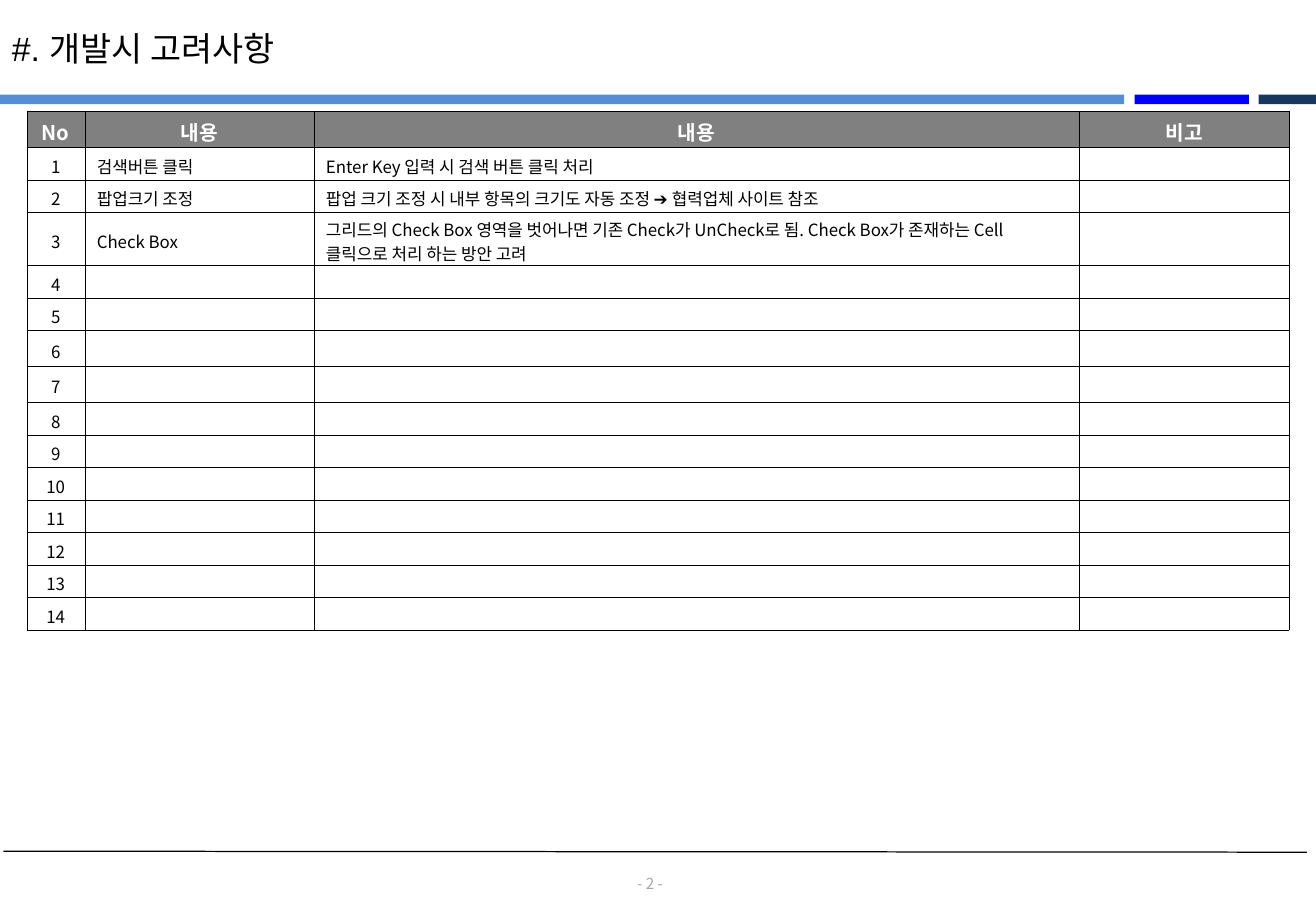
from lxml import etree
from pptx import Presentation
from pptx.dml.color import RGBColor
from pptx.enum.shapes import MSO_CONNECTOR, MSO_SHAPE
from pptx.enum.text import MSO_ANCHOR, PP_ALIGN
from pptx.oxml import parse_xml
from pptx.oxml.ns import nsdecls, qn
from pptx.util import Cm, Pt

RECT = MSO_SHAPE.RECTANGLE
LINE = MSO_CONNECTOR.STRAIGHT
MIDDLE = MSO_ANCHOR.MIDDLE
LEFT, CENTER = PP_ALIGN.LEFT, PP_ALIGN.CENTER
NOTO = "Noto Sans CJK KR"


def color(text):
    return RGBColor.from_string(text)


def style(para, face, size, tint, align=LEFT, bold=False):
    """Set the font of a paragraph, and the height of its line if empty."""
    para.alignment = align
    font = para.font
    font.name, font.size, font.bold = face, Pt(size), bold
    font.color.rgb = color(tint)
    if not para.text:
        para._p.get_or_add_endParaRPr().set("sz", str(size * 100))


deck = Presentation()
deck.slide_width, deck.slide_height = Cm(27.51), Cm(19.05)
slide = deck.slides.add_slide(deck.slide_layouts[6])
shapes = slide.shapes

# Header bars and footer line
bars = [(0, 23.5, "558ED5"), (23.72, 2.39, "0000FF"), (26.31, 1.2, "17375E")]
for left, width, tint in bars:
    bar = shapes.add_shape(RECT, Cm(left), Cm(1.98), Cm(width), Cm(0.2))
    bar.shadow.inherit = False
    bar.fill.solid()
    bar.fill.fore_color.rgb = color(tint)
    bar.line.fill.background()

rule = shapes.add_connector(LINE, Cm(0.07), Cm(17.8), Cm(27.32), Cm(17.82))
rule.line.color.rgb = color("000000")
rule.line.width = Pt(0.75)
etree.SubElement(rule._element.spPr, qn("a:effectLst"))

# Title and page number
title = shapes.add_textbox(0, Cm(0.46), Cm(24.08), Cm(1.12)).text_frame
title.word_wrap = True
title.text = "#. 개발시 고려사항"
style(title.paragraphs[0], "Arial", 20, "000000")

page = shapes.add_textbox(Cm(12.83), Cm(18.29), Cm(1.52), Cm(0.38)).text_frame
page.word_wrap = True
page.vertical_anchor = MIDDLE
page.margin_left = page.margin_right = page.margin_top = page.margin_bottom = 0
page.text = "- 2 -"
style(page.paragraphs[0], NOTO, 9, "A6A6A6", CENTER)

# Table of points to consider
notes = [
    ("검색버튼 클릭", "Enter Key 입력 시 검색 버튼 클릭 처리"),
    ("팝업크기 조정",
     "팝업 크기 조정 시 내부 항목의 크기도 자동 조정 ➔ 협력업체 사이트 참조"),
    ("Check Box",
     "그리드의 Check Box 영역을 벗어나면 기존 Check가 UnCheck로 됨. "
     "Check Box가 존재하는 Cell 클릭으로 처리 하는 방안 고려"),
]
notes += [("", "")] * (14 - len(notes))
rows = [("No", "내용", "내용", "비고")]
rows += [(str(num), *note, "") for num, note in enumerate(notes, 1)]
widths = [1.21, 4.79, 16, 4.39]
tall = {0: 0.75, 3: 1.11, 6: 0.75, 7: 0.75}
heights = [tall.get(num, 0.68) for num in range(len(rows))]

table = shapes.add_table(len(rows), len(widths), Cm(0.56), Cm(2.33),
                         Cm(sum(widths)), Cm(sum(heights))).table
table.first_row = table.horz_banding = False
for col, width in zip(table.columns, widths):
    col.width = Cm(width)

for r, (texts, height) in enumerate(zip(rows, heights)):
    table.rows[r].height = Cm(height)
    for c, text in enumerate(texts):
        cell = table.cell(r, c)
        cell.text = text
        cell.vertical_anchor = MIDDLE
        cell.margin_top, cell.margin_bottom = Cm(0.1), 0
        para = cell.text_frame.paragraphs[0]
        props = cell._tc.get_or_add_tcPr()
        for side in ("lnL", "lnR", "lnT", "lnB"):
            props.append(parse_xml(
                f'<a:{side} {nsdecls("a")} w="{Pt(0.25)}"><a:solidFill>'
                f'<a:srgbClr val="000000"/></a:solidFill></a:{side}>'))
        if r == 0:
            cell.fill.solid()
            cell.fill.fore_color.rgb = color("808080")
            style(para, NOTO, 12, "FFFFFF", CENTER, True)
        else:
            cell.fill.background()
            style(para, NOTO, 10, "000000", LEFT if c else CENTER)

deck.save("out.pptx")
